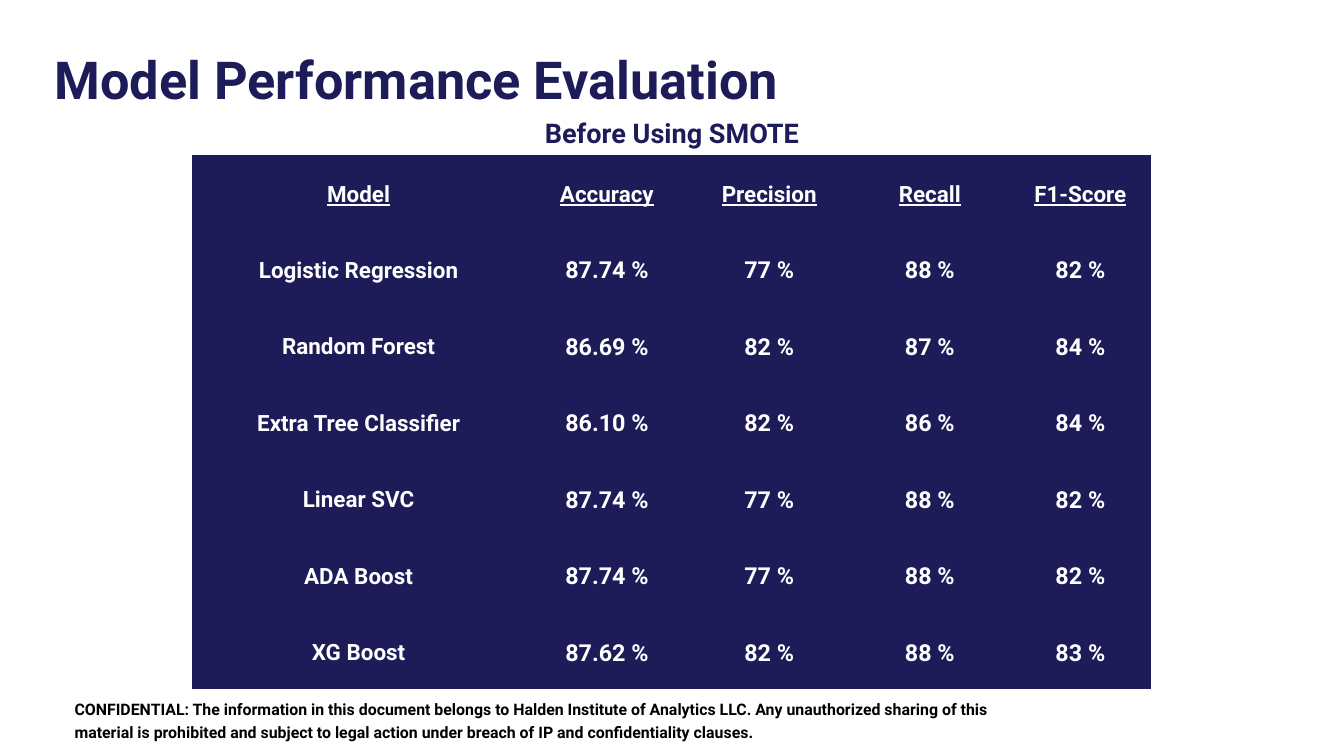
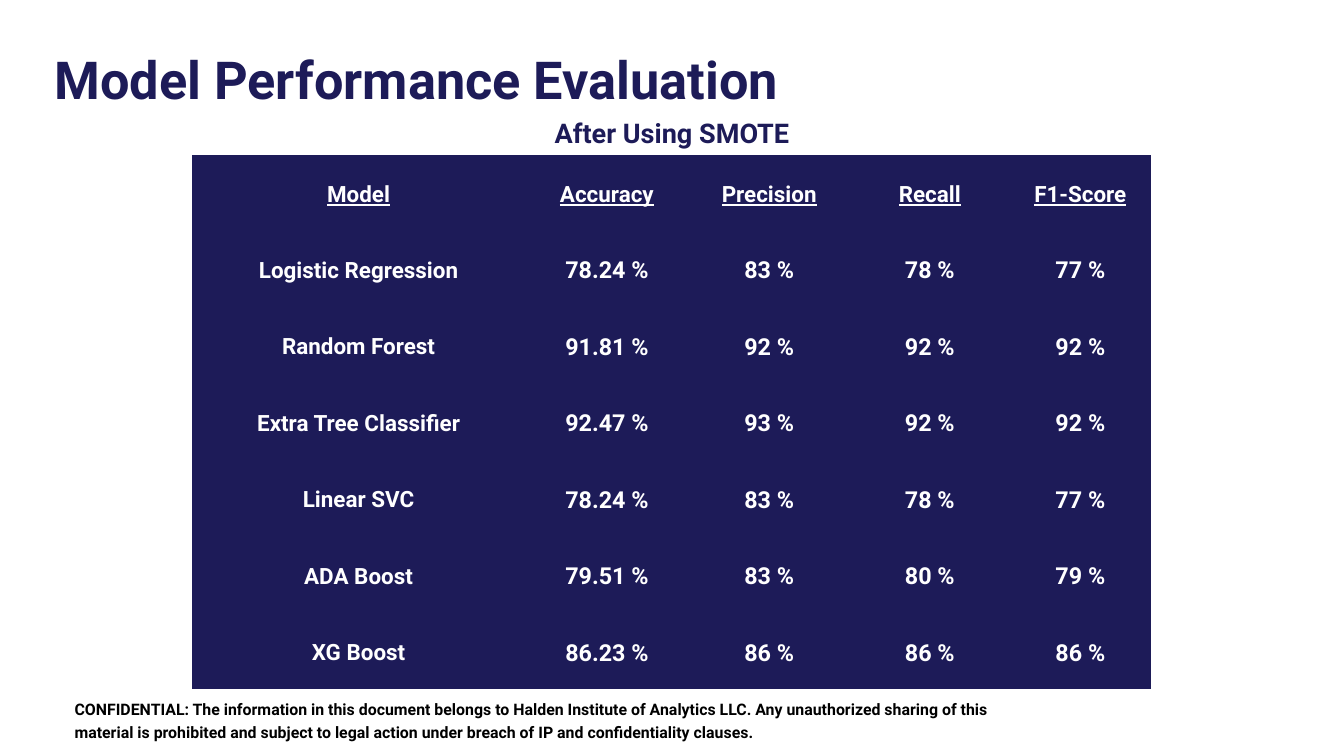
from dataclasses import dataclass

from lxml import etree
from pptx import Presentation
from pptx import util as u
from pptx.dml import color
from pptx.enum import text
from pptx.oxml import ns

Pt = u.Pt


@dataclass(frozen=True)
class Theme:
    font: str = "Roboto"
    navy: str = "1D1B58"
    white: str = "FFFFFF"
    black: str = "000000"
    border: str = "CCCCCC"
    title: int = 56
    subtitle: int = 29
    label: int = 24
    score: int = 25
    footer: int = 17
    leading: float = 1.4
    cell_margin: float = 15


TITLE = "Model Performance Evaluation"
FOOTER = (
    "CONFIDENTIAL: The information in this document belongs to Halden Institute "
    "of Analytics LLC. Any unauthorized sharing of this",
    "material is prohibited and subject to legal action under breach of IP and "
    "confidentiality clauses.",
)
HEADINGS = ("Model", "Accuracy", "Precision", "Recall", "F1-Score")
MODELS = ("Logistic Regression", "Random Forest", "Extra Tree Classifier",
          "Linear SVC", "ADA Boost", "XG Boost")
COLUMN_WIDTHS = (356.5, 175.7, 172.1, 172.1, 150.5)
HEADING_HEIGHT, MODEL_HEIGHT = 80, 82
RESULTS = {
    "Before Using SMOTE": (
        ("87.74", 77, 88, 82),
        ("86.69", 82, 87, 84),
        ("86.10", 82, 86, 84),
        ("87.74", 77, 88, 82),
        ("87.74", 77, 88, 82),
        ("87.62", 82, 88, 83),
    ),
    "After Using SMOTE": (
        ("78.24", 83, 78, 77),
        ("91.81", 92, 92, 92),
        ("92.47", 93, 92, 92),
        ("78.24", 83, 78, 77),
        ("79.51", 83, 80, 79),
        ("86.23", 86, 86, 86),
    ),
}


def write(frame, *lines, theme, size, ink, align=text.PP_ALIGN.LEFT, underline=False):
    for index, line in enumerate(lines):
        para = frame.add_paragraph() if index else frame.paragraphs[0]
        para.alignment = align
        para.line_spacing = Pt(size * theme.leading)
        para.space_before = para.space_after = Pt(0)
        span = para.add_run()
        span.text = line
        span.font.name = theme.font
        span.font.size = Pt(size)
        span.font.bold = True
        span.font.underline = underline
        span.font.color.rgb = color.RGBColor.from_string(ink)


class Deck:
    def __init__(self, theme):
        self.theme = theme
        self.file = Presentation()
        self.file.slide_width, self.file.slide_height = Pt(1440), Pt(810)
        self.page = None

    def add_page(self):
        self.page = self.file.slides.add_slide(self.file.slide_layouts[5])

    def fill_box(self, box, place, *lines, **style):
        box.left, box.top, box.width, box.height = map(Pt, place)
        frame = box.text_frame
        frame.word_wrap = True
        frame.auto_size = text.MSO_AUTO_SIZE.NONE
        frame.vertical_anchor = text.MSO_ANCHOR.TOP
        frame.margin_left = frame.margin_right = frame.margin_top = frame.margin_bottom = 0
        write(frame, *lines, theme=self.theme, **style)

    def title(self, words):
        self.fill_box(self.page.shapes.title, (58.3, 38.9, 882.7, 75.6), words,
                      size=self.theme.title, ink=self.theme.navy)

    def text_box(self, place, *lines, **style):
        box = self.page.shapes.add_textbox(*map(Pt, place))
        self.fill_box(box, place, *lines, **style)

    def subtitle(self, words):
        self.text_box((457.9, 118.8, 524.2, 38.9), words, size=self.theme.subtitle,
                      ink=self.theme.navy, align=text.PP_ALIGN.CENTER)

    def footer(self):
        self.text_box((79.9, 746.6, 1075, 45.4), *FOOTER,
                      size=self.theme.footer, ink=self.theme.black)

    def cell(self, cell, words, size, underline):
        properties = cell._tc.get_or_add_tcPr()
        for side in ("lnL", "lnR", "lnT", "lnB"):
            line = etree.SubElement(properties, ns.qn(f"a:{side}"), w="0")
            paint = etree.SubElement(line, ns.qn("a:solidFill"))
            etree.SubElement(paint, ns.qn("a:srgbClr"), val=self.theme.border)
        cell.fill.solid()
        cell.fill.fore_color.rgb = color.RGBColor.from_string(self.theme.navy)
        cell.vertical_anchor = text.MSO_ANCHOR.MIDDLE
        margin = Pt(self.theme.cell_margin)
        cell.margin_left = cell.margin_right = cell.margin_top = cell.margin_bottom = margin
        write(cell.text_frame, words, theme=self.theme, size=size, ink=self.theme.white,
              align=text.PP_ALIGN.CENTER, underline=underline)

    def score_table(self, scores):
        rows = [HEADINGS]
        rows += [(model, *(f"{value} %" for value in values))
                 for model, values in zip(MODELS, scores)]
        heights = [HEADING_HEIGHT] + [MODEL_HEIGHT] * len(MODELS)
        table = self.page.shapes.add_table(
            len(rows), len(HEADINGS), Pt(205.9), Pt(166.3),
            Pt(sum(COLUMN_WIDTHS)), Pt(sum(heights))).table
        table.first_row = table.horz_banding = False
        for column, width in zip(table.columns, COLUMN_WIDTHS):
            column.width = Pt(width)
        for r, (words, height) in enumerate(zip(rows, heights)):
            table.rows[r].height = Pt(height)
            for c, word in enumerate(words):
                size = self.theme.score if r and c else self.theme.label
                self.cell(table.cell(r, c), word, size, underline=r == 0)


def main():
    deck = Deck(Theme())
    for subtitle, scores in RESULTS.items():
        deck.add_page()
        deck.footer()
        deck.title(TITLE)
        deck.score_table(scores)
        deck.subtitle(subtitle)
    deck.file.save("out.pptx")


if __name__ == "__main__":
    main()
